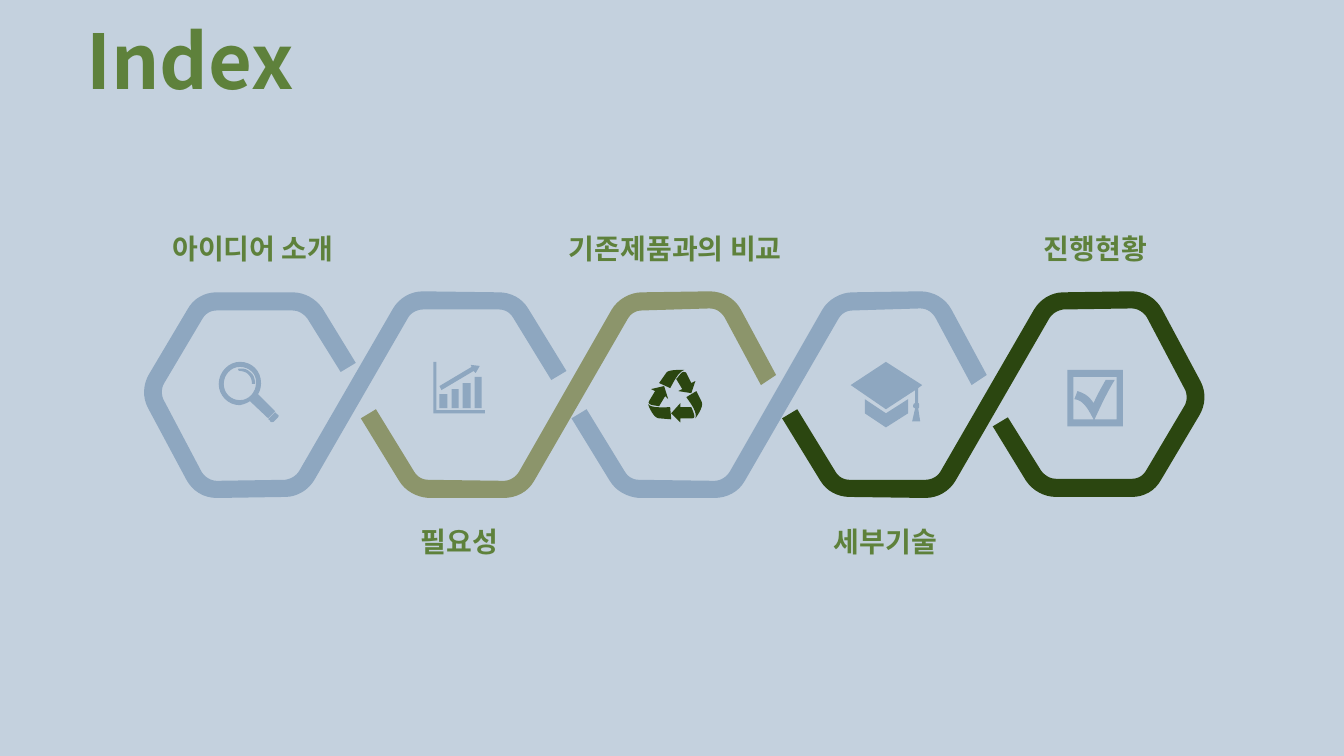
import pptx
import pptx.dml.color
import pptx.enum.text
import pptx.oxml.ns
import pptx.util
from lxml import etree

Cm = pptx.util.Cm
COLORS = {"background": "C4D1DE", "text": "5E813B", "blue": "8EA7C0",
          "olive": "8C956B", "dark": "2B4610"}
UNIT = Cm(0.0254)  # outlines are drawn on a grid of this pitch
CURVE_STEPS = 8

# Contours are parted by "/"; "~" marks the two control points of a curve.
END_RIBBON = """
215,494 ~202,494 ~191,487 185,476 147,405 ~141,394 ~142,381 148,371 186,307
~192,296 ~203,290 215,290 290,290 ~302,290 ~313,296 320,306 353,360 338,369
305,316 ~301,311 ~296,308 290,308 215,308 ~209,308 ~204,311 201,316 163,380
~160,385 ~160,391 162,396 200,468 ~203,473 ~209,477 215,477 283,476
~289,475 ~294,472 297,467 390,306 ~396,296 ~407,289 420,289 495,290
~507,290 ~518,296 524,306 562,368 547,377 509,315 ~506,310 ~501,307 495,307
420,307 ~414,307 ~408,310 405,315 312,476 ~306,486 ~295,493 283,493 216,494"""
MIDDLE_RIBBON = """
913,289 ~926,289 ~938,296 944,307 979,372 964,382 928,315
~925,310 ~920,306 913,306 846,308 ~840,308 ~835,311 832,316 739,477
~733,488 ~721,494 709,494 634,494 ~622,493 ~611,487 605,477 567,415 582,406
620,468 ~623,473 ~628,476 634,476 709,477 ~715,477 ~721,473 724,468 816,307
~822,297 ~834,290 846,290"""
MAGNIFIER = """
273,409 275,411 ~277,412 ~277,413 275,415 272,418 ~271,419 ~269,419 268,418
~268,417 ~267,416 266,416 /
236,366 ~241,365 ~245,366 248,369 ~252,372 ~253,376 253,381 250,381
~250,377 ~249,374 246,371 ~244,369 ~240,368 237,368 /
238,364 ~229,364 ~222,372 222,381 ~222,390 ~229,397 238,397
~247,397 ~254,389 254,380 ~255,371 ~247,364 238,364 /
238,359 ~250,359 ~259,368 259,380 ~259,384 ~258,388 256,391 273,408 266,415
248,398 ~245,400 ~242,401 238,402 ~226,402 ~217,392 217,381
~217,369 ~227,359 238,359"""
RECYCLING = """
643,401 ~647,405 ~657,404 665,404 666,416 654,415 ~650,415 ~646,409 643,401 /
675,400 675,404 686,404 ~688,409 ~691,415 687,415 675,415 675,419 666,410 /
691,388 696,398 ~698,402 ~695,408 690,415 ~692,409 ~686,401 681,394 /
659,383 663,396 660,393 654,403 ~649,402 ~642,402 644,398 650,388 646,386 /
678,369 ~679,369 ~680,369 681,370 686,380 690,378 686,390 673,388 677,386 671,376
~674,373 ~676,369 678,369 /
673,367 ~675,367 ~677,367 679,367 ~673,369 ~669,378 665,385 654,380 661,370
~662,368 ~667,367 673,367"""
GROWTH_CHART = """
436,391 444,391 444,405 436,405 / 448,386 455,386 455,405 448,405 /
459,380 467,380 467,405 459,405 / 471,374 478,374 478,405 471,405 /
467,362 476,363 472,370 470,368 438,387 436,383 468,364 /
430,359 433,359 433,407 481,407 481,410 430,410"""
GRADUATION_CAP = """
858,396 879,410 901,396 901,410 879,424 858,410 /
879,359 915,382 911,385 911,400 ~912,400 ~912,401 912,403 ~912,404 ~912,405 911,405
913,418 905,418 908,405 ~907,405 ~906,404 906,403 ~906,401 ~907,400 908,400
908,387 879,406 844,382"""
CHECKBOX = """
1066,374 1065,374 1065,416 1085,416 ~1081,409 ~1076,397 1066,396 1069,388
~1078,391 ~1081,394 1085,400 ~1089,391 ~1092,386 1097,377 1106,377
~1099,388 ~1092,403 1086,416 1108,416 1108,374 /
1059,367 1114,367 1114,423 1059,423"""

RIBBONS = [  # outline, colour, shift to the right, turned half round
    (END_RIBBON, "blue", 0, False),
    (END_RIBBON, "dark", 633, True),
    (MIDDLE_RIBBON, "blue", 0, False),
    (MIDDLE_RIBBON, "olive", -209, False),
]
ICONS = [(MAGNIFIER, "blue"), (RECYCLING, "dark"), (GROWTH_CHART, "blue"),
         (GRADUATION_CAP, "blue"), (CHECKBOX, "blue")]
UPPER_LABEL_TOP, LOWER_LABEL_TOP = 5.69, 13.08
LABELS = [  # text, left, top, width
    ("아이디어 소개", 2.03, UPPER_LABEL_TOP, 8.69),
    ("세부기술", 19.56, LOWER_LABEL_TOP, 5.51),
    ("필요성", 8.64, LOWER_LABEL_TOP, 5.87),
    ("기존제품과의 비교", 13.54, UPPER_LABEL_TOP, 6.96),
    ("진행현황", 24.66, UPPER_LABEL_TOP, 5.89),
]


def color(name):
    return pptx.dml.color.RGBColor.from_string(COLORS[name])


def contour_points(contour):
    """Turn one contour into a list of points, with curves cut into short lines."""
    points, controls = [], []
    for token in contour.split():
        point = tuple(int(number) for number in token.lstrip("~").split(","))
        if token.startswith("~"):
            controls.append(point)
        elif controls:
            corners = [points[-1], *controls, point]
            for step in range(1, CURVE_STEPS + 1):
                t = step / CURVE_STEPS
                weights = ((1 - t) ** 3, 3 * t * (1 - t) ** 2, 3 * t ** 2 * (1 - t), t ** 3)
                points.append(tuple(sum(weight * corner[axis] for weight, corner
                                        in zip(weights, corners)) for axis in (0, 1)))
            controls = []
        else:
            points.append(point)
    return points


class IndexSlide:
    font_name = "Noto Sans CJK KR"

    def __init__(self, presentation):
        self.slide = presentation.slides.add_slide(presentation.slide_layouts[5])
        fill = self.slide.background.fill
        fill.solid()
        fill.fore_color.rgb = color("background")

    def set_text(self, shape, text, size, alignment):
        frame = shape.text_frame
        frame.word_wrap = True
        frame.auto_size = pptx.enum.text.MSO_AUTO_SIZE.NONE
        frame.vertical_anchor = pptx.enum.text.MSO_ANCHOR.MIDDLE
        frame.text = text
        paragraph = frame.paragraphs[0]
        paragraph.alignment = alignment
        font = paragraph.font
        font.size = pptx.util.Pt(size)
        font.bold = True
        font.name = self.font_name
        font.color.rgb = color("text")
        properties = paragraph._p.find(".//" + pptx.oxml.ns.qn("a:defRPr"))
        etree.SubElement(properties, pptx.oxml.ns.qn("a:ea"), typeface=self.font_name)
        return frame

    def title(self, text):
        shape = self.slide.shapes.title
        shape.left, shape.top, shape.width, shape.height = Cm(1.93), Cm(0), Cm(20.29), Cm(3.18)
        frame = self.set_text(shape, text, 54, pptx.enum.text.PP_ALIGN.LEFT)
        frame.margin_left = frame.margin_top = frame.margin_right = Cm(0.25)
        frame.margin_bottom = Cm(0.13)
        frame.paragraphs[0].line_spacing = 0.9
        frame.paragraphs[0].space_before = pptx.util.Pt(10)

    def label(self, text, left, top, width):
        box = self.slide.shapes.add_textbox(Cm(left), Cm(top), Cm(width), Cm(1.12))
        self.set_text(box, text, 20, pptx.enum.text.PP_ALIGN.CENTER)

    def outline(self, contours, color_name, shift=0, turned=False):
        """Draw a filled outline; turned rotates it by 180 degrees about its middle."""
        contour_list = [contour_points(contour) for contour in contours.split("/")]
        if turned:
            x_sum, y_sum = (min(values) + max(values) for values in
                            zip(*(point for points in contour_list for point in points)))
            contour_list = [[(x_sum - x, y_sum - y) for x, y in points]
                            for points in contour_list]
        contour_list = [[((x + shift) * UNIT, y * UNIT) for x, y in points]
                        for points in contour_list]
        builder = self.slide.shapes.build_freeform(*contour_list[0][0])
        for index, points in enumerate(contour_list):
            if index:
                builder.move_to(*points[0])
            builder.add_line_segments(points[1:], close=True)
        shape = builder.convert_to_shape()
        shape.shadow.inherit = False
        shape.fill.solid()
        shape.fill.fore_color.rgb = color(color_name)
        shape.line.fill.background()


def main():
    presentation = pptx.Presentation()
    presentation.slide_width, presentation.slide_height = Cm(33.87), Cm(19.05)
    index_slide = IndexSlide(presentation)
    index_slide.title("Index")
    for ribbon in RIBBONS:
        index_slide.outline(*ribbon)
    for label in LABELS:
        index_slide.label(*label)
    for icon in ICONS:
        index_slide.outline(*icon)
    presentation.save("out.pptx")


if __name__ == "__main__":
    main()
